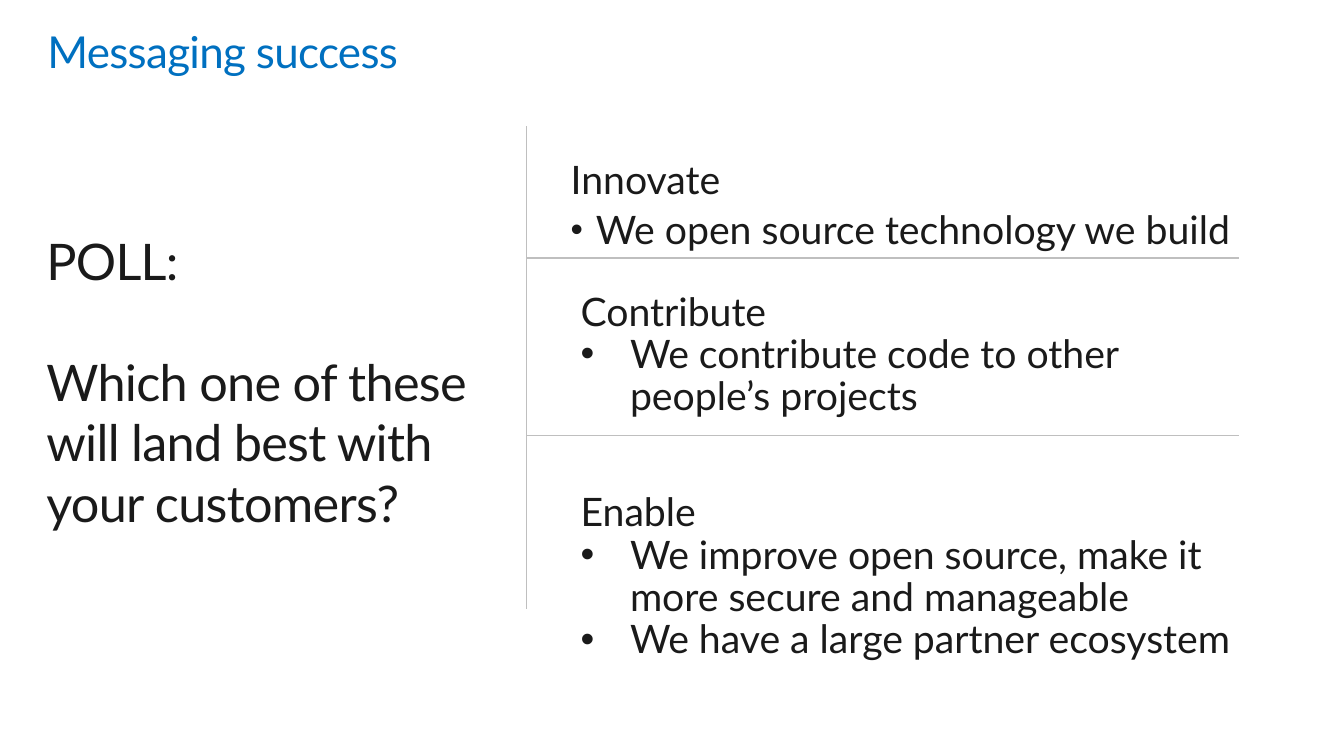
"""Build the slide "Messaging success" with a poll question and three answers."""
from dataclasses import dataclass

from lxml import etree
from pptx import Presentation
from pptx.dml.color import RGBColor
from pptx.enum import shapes, text
from pptx.oxml import ns
from pptx.slide import Slide
from pptx.util import Inches, Pt

INK = RGBColor(0x1A, 0x1A, 0x1A)
BLUE = RGBColor(0x00, 0x70, 0xC0)
RULE_GREY = RGBColor(0xBF, 0xBF, 0xBF)
FONT = "Lato"
RULE_LEFT, RULE_RIGHT = 5.22, 12.29
ANSWER_LEFT = 5.66


@dataclass
class Block:
    left: float
    top: float
    width: float
    height: float
    lines: list[str]
    size: float = 28
    color: RGBColor = INK
    tracking: float = 0
    inset: tuple[float, float] = (0, 0)
    line_spacing: float = 1.0
    gap: float = 0
    indent: float = 0
    bullet_percent: int = 100


@dataclass
class Rule:
    x1: float
    y1: float
    x2: float
    y2: float


BLOCKS = [
    Block(0.46, 2.28, 4.5, 3.03,
          ["POLL:", "Which one of these will land best with your customers?"],
          size=36, tracking=-0.5, gap=43.2),
    Block(ANSWER_LEFT, 1.59, 6.88, 0.94,
          ["Innovate", "We open source technology we build"],
          line_spacing=0.9, gap=5.6, indent=0.25, bullet_percent=90),
    Block(ANSWER_LEFT, 2.85, 6.72, 1.8,
          ["Contribute", "We contribute code to other people’s projects"],
          inset=(0.1, 0.05), line_spacing=0.9, indent=0.49),
    Block(ANSWER_LEFT, 4.84, 7.18, 2.22,
          ["Enable", "We improve open source, make it more secure and manageable",
           "We have a large partner ecosystem"],
          inset=(0.1, 0.05), line_spacing=0.9, indent=0.49),
    Block(0.47, 0.24, 12.4, 0.53, ["Messaging success"],
          size=31.4, color=BLUE, tracking=-0.5),
]

RULES = [
    Rule(RULE_LEFT, 4.32, RULE_RIGHT, 4.32),
    Rule(RULE_LEFT, 2.56, RULE_RIGHT, 2.56),
    Rule(RULE_LEFT, 6.04, RULE_LEFT, 1.25),
]


def add_bullet(para, indent: float, percent: int) -> None:
    """Give a paragraph a round bullet with a hanging indent."""
    props = para._p.get_or_add_pPr()
    props.set("marL", str(Inches(indent)))
    props.set("indent", str(-Inches(indent)))
    etree.SubElement(props, ns.qn("a:buSzPct")).set("val", str(percent * 1000))
    etree.SubElement(props, ns.qn("a:buFont")).set("typeface", "Arial")
    etree.SubElement(props, ns.qn("a:buChar")).set("char", "•")


def add_block(page: Slide, block: Block) -> None:
    """Draw one text box, its first line plain and the rest as set."""
    box = page.shapes.add_textbox(Inches(block.left), Inches(block.top),
                                  Inches(block.width), Inches(block.height))
    frame = box.text_frame
    frame.word_wrap = True
    frame.auto_size = text.MSO_AUTO_SIZE.SHAPE_TO_FIT_TEXT
    frame.margin_left = frame.margin_right = Inches(block.inset[0])
    frame.margin_top = frame.margin_bottom = Inches(block.inset[1])
    for number, line in enumerate(block.lines):
        para = frame.add_paragraph() if number else frame.paragraphs[0]
        para.line_spacing = block.line_spacing
        if number:
            para.space_before = Pt(block.gap)
            if block.indent:
                add_bullet(para, block.indent, block.bullet_percent)
        span = para.add_run()
        span.text = line
        span.font.name = FONT
        span.font.size = Pt(block.size)
        span.font.color.rgb = block.color
        if block.tracking:
            span._r.get_or_add_rPr().set("spc", str(int(block.tracking * 100)))


def add_rule(page: Slide, rule: Rule) -> None:
    """Draw one thin grey dividing line."""
    line = page.shapes.add_connector(
        shapes.MSO_CONNECTOR.STRAIGHT, Inches(rule.x1), Inches(rule.y1),
        Inches(rule.x2), Inches(rule.y2))
    line.line.color.rgb = RULE_GREY
    line.line.width = Pt(1)
    etree.SubElement(line._element.spPr, ns.qn("a:effectLst"))


def main() -> None:
    """Build and save the deck."""
    deck = Presentation()
    deck.slide_width, deck.slide_height = Inches(13.33), Inches(7.5)
    page = deck.slides.add_slide(deck.slide_layouts[6])
    for block in BLOCKS:
        add_block(page, block)
    for rule in RULES:
        add_rule(page, rule)
    deck.save("out.pptx")


if __name__ == "__main__":
    main()
